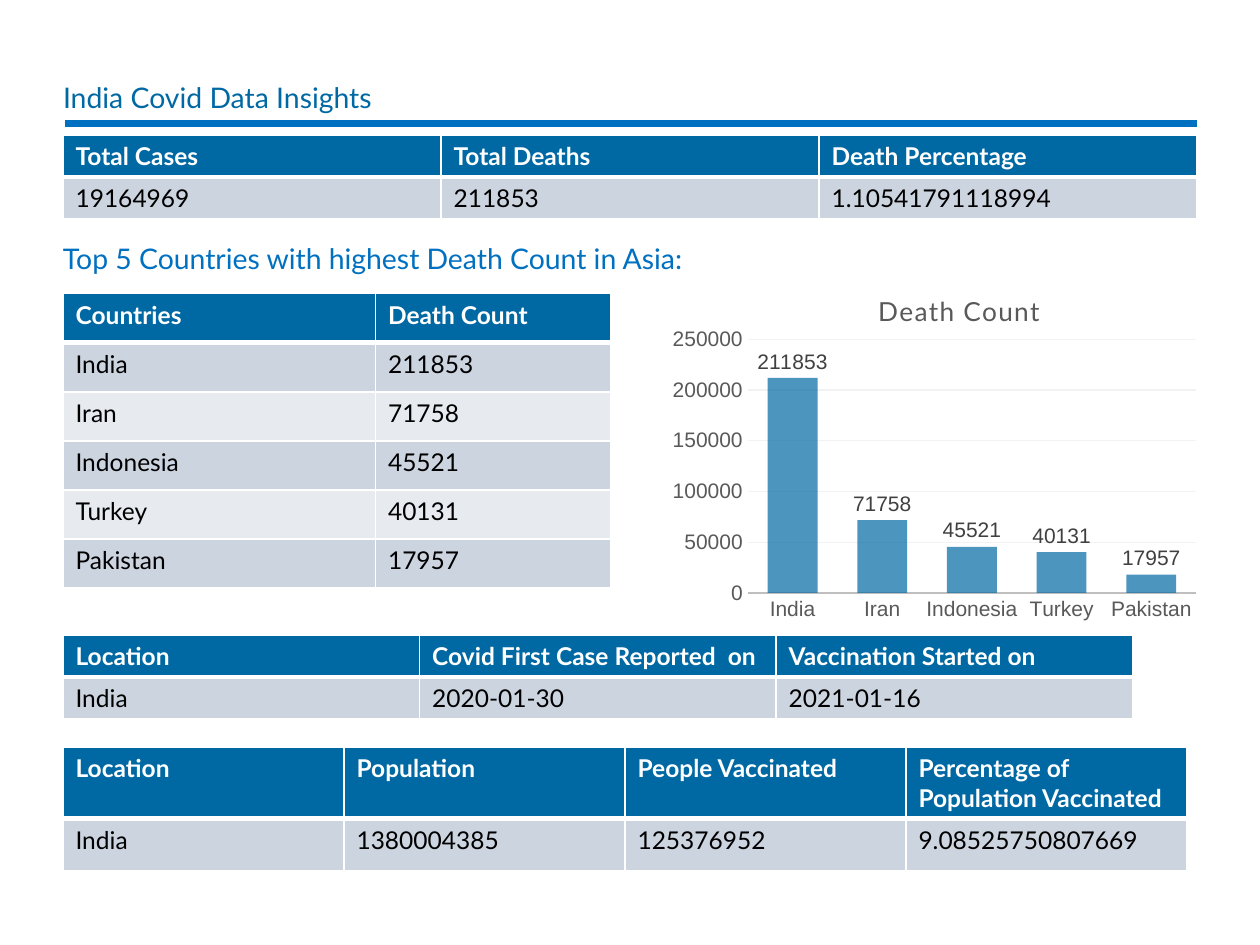
from lxml import etree
from pptx import Presentation
from pptx import util as u
from pptx.chart import data as chart_data
from pptx.dml import color
from pptx.enum import chart as chart_enum, shapes, text
from pptx.oxml import ns

COLORS = {
    "header": "0069A3", "accent": "0070C0", "band_dark": "CCD4E0",
    "band_light": "E7EBF0", "white": "FFFFFF", "black": "000000",
    "axis_text": "595959", "axis_line": "BFBFBF", "grid": "F2F2F2",
    "label": "404040",
}
LEFT = 0.5
DEATHS = {"India": 211853, "Iran": 71758, "Indonesia": 45521,
          "Turkey": 40131, "Pakistan": 17957}


def rgb(name):
    return color.RGBColor.from_string(COLORS[name])


def style_font(font, size, color_name, face="Lato", bold=False):
    font.size = u.Pt(size)
    font.name = face
    font.bold = bold
    font.color.rgb = rgb(color_name)


def write_heading(box, top, words, color_name, spacing):
    box.left, box.top = u.Inches(LEFT), u.Inches(top)
    box.width, box.height = u.Inches(9), u.Inches(0.3)
    frame = box.text_frame
    frame.word_wrap = True
    frame.auto_size = text.MSO_AUTO_SIZE.NONE
    frame.vertical_anchor = text.MSO_ANCHOR.MIDDLE
    frame.margin_left = frame.margin_right = 0
    frame.margin_top = frame.margin_bottom = u.Inches(0.05)
    para = frame.paragraphs[0]
    para.alignment = text.PP_ALIGN.LEFT
    para.line_spacing = spacing
    span = para.add_run()
    span.text = words
    style_font(span.font, 16.2, color_name)


def add_rule(page):
    y = u.Inches(0.98)
    rule = page.shapes.add_connector(
        shapes.MSO_CONNECTOR.STRAIGHT, u.Inches(0.52), y, u.Inches(9.5), y)
    rule.line.color.rgb = rgb("accent")
    rule.line.width = u.Pt(4.5)
    etree.SubElement(rule._element.spPr, ns.qn("a:effectLst"))


def add_borders(cell, top, bottom):
    """Draw white cell borders; widths in points, sides always 1."""
    properties = cell._tc.get_or_add_tcPr()
    for side, width in (("L", 1), ("R", 1), ("T", top), ("B", bottom)):
        line = etree.SubElement(properties, ns.qn(f"a:ln{side}"),
                                w=str(u.Pt(width)))
        fill = etree.SubElement(line, ns.qn("a:solidFill"))
        etree.SubElement(fill, ns.qn("a:srgbClr"), val=COLORS["white"])


def fill_cell(cell, words, row):
    header = row == 0
    add_borders(cell, 3 if row == 1 else 1, 3 if header else 1)
    cell.fill.solid()
    band = "band_dark" if row % 2 else "band_light"
    cell.fill.fore_color.rgb = rgb("header" if header else band)
    span = cell.text_frame.paragraphs[0].add_run()
    span.text = words
    style_font(span.font, 14, "white" if header else "black", bold=header)


def add_data_table(page, top, widths, heights, rows):
    frame = page.shapes.add_table(
        len(rows), len(widths), u.Inches(LEFT), u.Inches(top),
        u.Inches(sum(widths)), u.Inches(sum(heights)))
    table = frame.table
    for column, width in zip(table.columns, widths):
        column.width = u.Inches(width)
    for table_row, height in zip(table.rows, heights):
        table_row.height = u.Inches(height)
    for row, values in enumerate(rows):
        for column, words in enumerate(values):
            fill_cell(table.cell(row, column), words, row)


def set_layout(element, index, **fractions):
    """Give a chart part a fixed place, in fractions of the chart."""
    for old in element.findall(ns.qn("c:layout")):
        element.remove(old)
    layout = etree.Element(ns.qn("c:layout"))
    manual = etree.SubElement(layout, ns.qn("c:manualLayout"))
    if "w" in fractions:
        etree.SubElement(manual, ns.qn("c:layoutTarget"), val="inner")
    for mode in ("xMode", "yMode"):
        etree.SubElement(manual, ns.qn(f"c:{mode}"), val="edge")
    for key, value in fractions.items():
        etree.SubElement(manual, ns.qn(f"c:{key}"), val=str(value))
    element.insert(index, layout)


def style_chart_title(chart, words):
    chart.has_title = True
    span = chart.chart_title.text_frame.paragraphs[0].add_run()
    span.text = words
    style_font(span.font, 15, "axis_text")
    span.font._element.set("spc", "75")
    set_layout(chart.chart_title._element, 1, x=0.39, y=0.08)


def style_axes(chart):
    for axis in (chart.category_axis, chart.value_axis):
        axis.major_tick_mark = chart_enum.XL_TICK_MARK.NONE
        axis.minor_tick_mark = chart_enum.XL_TICK_MARK.NONE
        style_font(axis.tick_labels.font, 12, "axis_text", "Arial")
    category_line = chart.category_axis.format.line
    category_line.color.rgb = rgb("axis_line")
    category_line.width = u.Pt(1.25)
    value_axis = chart.value_axis
    value_axis.minimum_scale, value_axis.maximum_scale = 0, 250000
    value_axis.major_unit = 50000
    value_axis.format.line.fill.background()
    value_axis.has_major_gridlines = True
    grid = value_axis.major_gridlines.format.line
    grid.color.rgb = rgb("grid")
    grid.width = u.Pt(0.75)


def style_columns(plot):
    plot.gap_width = 80
    plot.overlap = 25
    plot.vary_by_categories = False
    series = plot.series[0]
    series.format.fill.solid()
    series.format.fill.fore_color.rgb = rgb("header")
    fill_color = next(series._element.iter(ns.qn("a:srgbClr")))
    etree.SubElement(fill_color, ns.qn("a:alpha"), val="70000")
    labels = series.data_labels
    labels.show_value = True
    labels.position = chart_enum.XL_LABEL_POSITION.OUTSIDE_END
    style_font(labels.font, 12, "label", "Arial")


def add_death_chart(page):
    data = chart_data.CategoryChartData()
    data.categories = list(DEATHS)
    data.add_series("Death Count", list(DEATHS.values()))
    chart = page.shapes.add_chart(
        chart_enum.XL_CHART_TYPE.COLUMN_CLUSTERED, u.Inches(5.24),
        u.Inches(2.05), u.Inches(4.34), u.Inches(2.92), data).chart
    chart.has_legend = False
    style_font(chart.font, 10, "black", "Arial")
    style_chart_title(chart, "Death Count")
    style_axes(chart)
    style_columns(chart.plots[0])
    plot_area = chart._chartSpace.chart.plotArea
    set_layout(plot_area, 0, x=0.16, y=0.22, w=0.82, h=0.69)


def main():
    deck = Presentation()
    deck.slide_width, deck.slide_height = u.Inches(10), u.Inches(7.5)
    page = deck.slides.add_slide(deck.slide_layouts[5])
    add_rule(page)
    write_heading(page.shapes.title, 0.64, "India Covid Data Insights",
                  "header", 0.9)
    countries = [(name, str(count)) for name, count in DEATHS.items()]
    add_data_table(page, 2.33, [2.48, 1.87], [0.39] * 6,
                   [("Countries", "Death Count")] + countries)
    write_heading(page.shapes.add_textbox(0, 0, 0, 0), 1.93,
                  "Top 5 Countries with highest Death Count in Asia:",
                  "accent", 0.7)
    add_death_chart(page)
    add_data_table(page, 1.07, [3] * 3, [0.33] * 2, [
        ("Total Cases", "Total Deaths", "Death Percentage"),
        ("19164969", "211853", "1.10541791118994")])
    add_data_table(page, 5.04, [2.83] * 3, [0.33] * 2, [
        ("Location", "Covid First Case Reported  on",
         "Vaccination Started on"),
        ("India", "2020-01-30", "2021-01-16")])
    add_data_table(page, 5.93, [2.23] * 4, [0.56, 0.41], [
        ("Location", "Population", "People Vaccinated",
         "Percentage of Population Vaccinated"),
        ("India", "1380004385", "125376952", "9.08525750807669")])
    deck.save("out.pptx")


if __name__ == "__main__":
    main()
